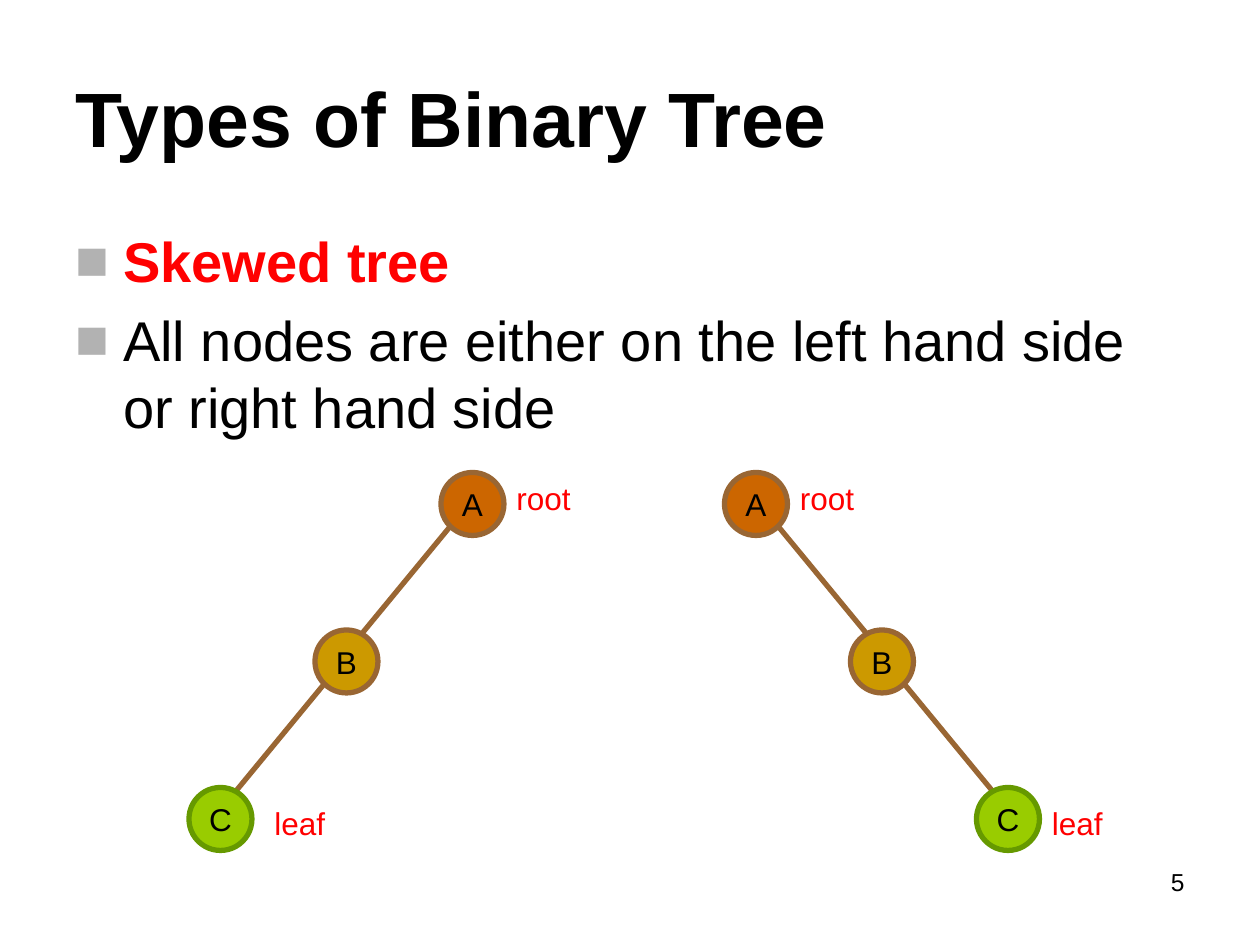
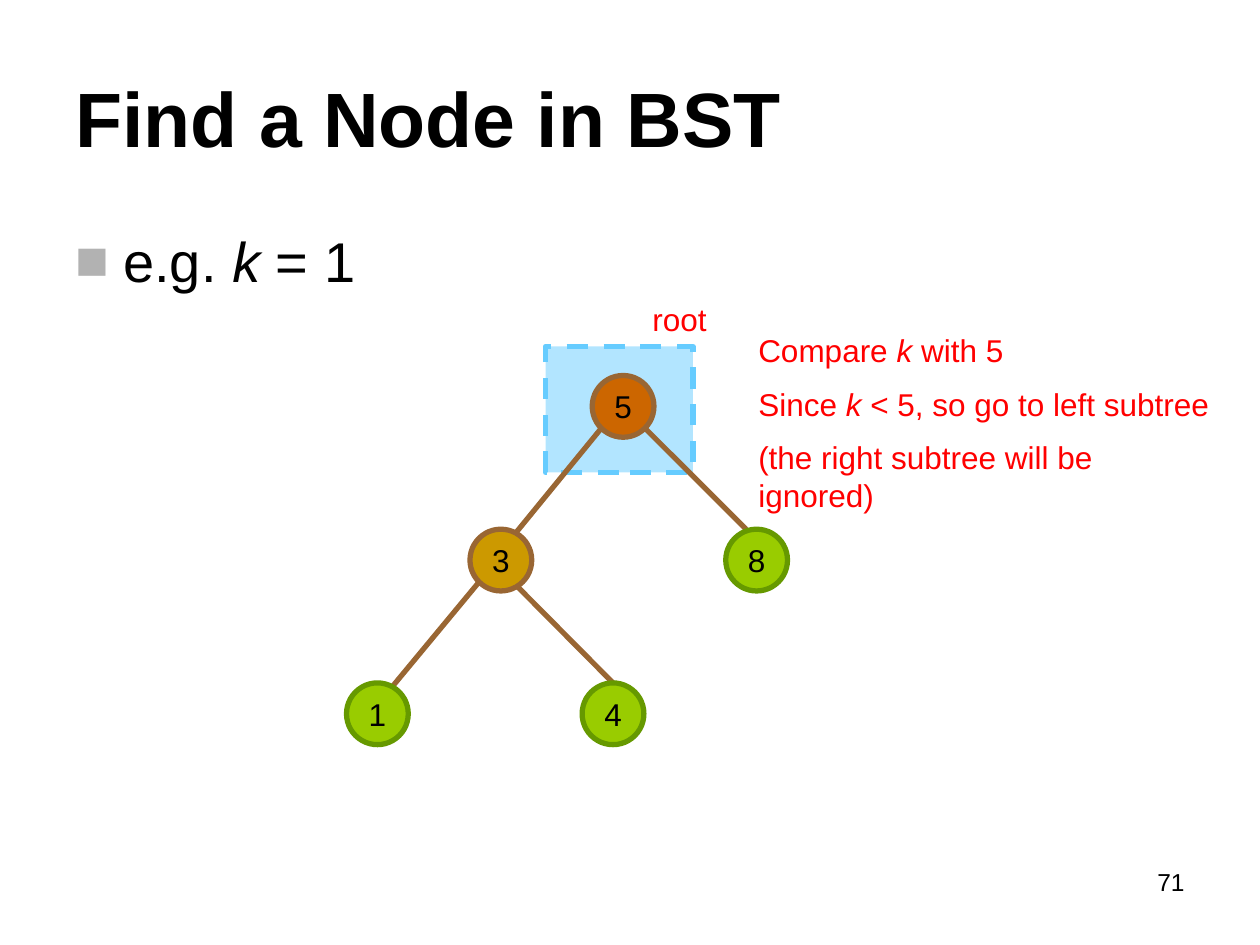
from dataclasses import dataclass
from lxml.etree import SubElement as Sub
from pptx import Presentation
from pptx.dml.color import RGBColor as RGB
from pptx.enum.dml import MSO_LINE as Dash
from pptx.enum.shapes import MSO_CONNECTOR as Link, MSO_SHAPE as Kind
from pptx.enum.text import MSO_ANCHOR as Anchor, MSO_AUTO_SIZE as Fit, PP_ALIGN as Align
from pptx.oxml.ns import qn
from pptx.util import Inches, Pt


@dataclass(frozen=True)
class Theme:
    font: str = "Arial"
    ink: str = "000000"
    red: str = "FF0000"
    mark: str = "B2B2B2"
    glow: str = "66CCFF"
    wood: str = "996633"
    title: int = 44
    body: int = 32
    label: int = 18
    page: int = 14
    line: int = 3


T = Theme()

# Node role: fill, outline
ROLES = {
    "root": ("CC6600", T.wood),
    "inner": ("CC9900", T.wood),
    "leaf": ("99CC00", "669900"),
}

# Where an edge leaves its parent and meets its child, as shares of the node size
LEFT = ((0.16, 0.84), (0.66, 0.16))
RIGHT = ((0.84, 0.84), (0.34, 0.16))
STEEP = ((0.84, 0.84), (0.33, 0))
INNER = ((0.66, 0.82), (0.5, 0))

# Content: a run is (text, style), where b is bold, i italic, r red
# A node is name: (left, top, role); an edge is (parent, child, slant)
SLIDES = [
    {
        "title": "Types of Binary Tree",
        "page": "5",
        "body": [
            [("Skewed tree", "br")],
            [("All nodes are either on the left hand side or right hand side", "")],
        ],
        "size": 0.5,
        "trees": [
            {
                "nodes": {"A": (3.5, 3.75, "root"), "B": (2.5, 5, "inner"),
                          "C": (1.5, 6.25, "leaf")},
                "edges": [("A", "B", LEFT), ("B", "C", LEFT)],
            },
            {
                "nodes": {"A": (5.75, 3.75, "root"), "B": (6.75, 5, "inner"),
                          "C": (7.75, 6.25, "leaf")},
                "edges": [("A", "B", RIGHT), ("B", "C", RIGHT)],
            },
        ],
        "notes": [
            ((4, 3.75, 1.58, 0.4), [[("root", "r")]]),
            ((6.25, 3.75, 1.58, 0.4), [[("root", "r")]]),
            ((2.08, 6.33, 1.58, 0.4), [[("leaf", "r")]]),
            ((8.25, 6.33, 1.58, 0.4), [[("leaf", "r")]]),
        ],
    },
    {
        "title": "Find a Node in BST",
        "page": "71",
        "body": [[("e.g. ", ""), ("k", "i"), (" = 1", "")]],
        "focus": (4.33, 2.75, 1.17, 1),
        "size": 0.49,
        "trees": [
            {
                "nodes": {"5": (4.7, 2.98, "root"), "3": (3.73, 4.2, "inner"),
                          "8": (5.76, 4.2, "leaf"), "1": (2.75, 5.42, "leaf"),
                          "4": (4.62, 5.42, "leaf")},
                "edges": [("5", "3", LEFT), ("5", "8", STEEP),
                          ("3", "1", LEFT), ("3", "4", INNER)],
            },
        ],
        "notes": [
            ((5.08, 2.33, 1.54, 0.4), [[("root", "r")]]),
            ((5.92, 2.58, 3.83, 1.3), [
                [("Compare ", "r"), ("k", "ir"), (" with 5", "r")],
                [("Since ", "r"), ("k", "ir"), (" < 5, so go to left subtree", "r")],
                [("(the right subtree will be ignored)", "r")],
            ]),
        ],
    },
]


# Text
def write(frame, paras, size, gap=0, align=Align.LEFT, mark=False):
    for i, runs in enumerate(paras):
        para = frame.paragraphs[0] if i == 0 else frame.add_paragraph()
        para.alignment = align
        if i:
            para.space_before = Pt(size * gap)
        if mark:
            bullet(para)
        for text, style in runs:
            run = para.add_run()
            run.text = text
            font = run.font
            font.name, font.size = T.font, Pt(size)
            font.bold, font.italic = "b" in style, "i" in style
            font.color.rgb = RGB.from_string(T.red if "r" in style else T.ink)


def bullet(para):
    props = para._p.get_or_add_pPr()
    props.set("marL", str(Inches(0.38)))
    props.set("indent", str(-Inches(0.38)))
    Sub(Sub(props, qn("a:buClr")), qn("a:srgbClr"), val=T.mark)
    Sub(props, qn("a:buFont"), typeface=T.font)
    Sub(props, qn("a:buChar"), char="■")


def add_text(slide, box, paras, size, **look):
    frame = slide.shapes.add_textbox(*map(Inches, box)).text_frame
    frame.word_wrap = True
    write(frame, paras, size, **look)


# Shapes
def draw(slide, kind, box, fill, edge):
    shape = slide.shapes.add_shape(kind, *map(Inches, box))
    shape.shadow.inherit = False
    shape.fill.solid()
    shape.fill.fore_color.rgb = RGB.from_string(fill)
    shape.line.color.rgb = RGB.from_string(edge)
    shape.line.width = Pt(T.line)
    return shape


def add_focus(slide, box):
    shape = draw(slide, Kind.RECTANGLE, box, T.glow, T.glow)
    shape.line.dash_style = Dash.DASH
    tone = shape._element.spPr.find(qn("a:solidFill")).find(qn("a:srgbClr"))
    Sub(tone, qn("a:alpha"), val="50000")


def add_edge(slide, start, end):
    line = slide.shapes.add_connector(Link.STRAIGHT, *map(Inches, start + end))
    line.line.color.rgb = RGB.from_string(T.wood)
    line.line.width = Pt(T.line)
    Sub(line._element.spPr, qn("a:effectLst"))


def add_tree(slide, tree, size):
    nodes = tree["nodes"]

    def spot(name, share):
        return tuple(nodes[name][k] + size * share[k] for k in (0, 1))

    for top, low, (out, into) in tree["edges"]:
        add_edge(slide, spot(low, into), spot(top, out))
    for name, (x, y, role) in nodes.items():
        shape = draw(slide, Kind.OVAL, (x, y, size, size), *ROLES[role])
        frame = shape.text_frame
        frame.word_wrap = False
        frame.vertical_anchor = Anchor.MIDDLE
        write(frame, [[(name, "")]], T.label, align=Align.CENTER)


# Shared frame of every slide
def add_slide(deck, data):
    slide = deck.slides.add_slide(deck.slide_layouts[5])
    title = slide.shapes.title
    title.left, title.top, title.width, title.height = map(Inches, (0.5, 0.3, 9, 1.25))
    frame = title.text_frame
    frame.auto_size = Fit.NONE
    frame.vertical_anchor = Anchor.MIDDLE
    write(frame, [[(data["title"], "b")]], T.title)
    add_text(slide, (7.17, 6.83, 2.33, 0.52), [[(data["page"], "")]], T.page,
             align=Align.RIGHT)
    add_text(slide, (0.5, 1.75, 9, 4.95), data["body"], T.body, gap=0.2, mark=True)
    return slide


def main():
    deck = Presentation()
    deck.slide_width, deck.slide_height = Inches(10), Inches(7.5)
    for data in SLIDES:
        slide = add_slide(deck, data)
        if "focus" in data:
            add_focus(slide, data["focus"])
        for tree in data["trees"]:
            add_tree(slide, tree, data["size"])
        for box, paras in data["notes"]:
            add_text(slide, box, paras, T.label, gap=0.5)
    deck.save("out.pptx")


if __name__ == "__main__":
    main()
